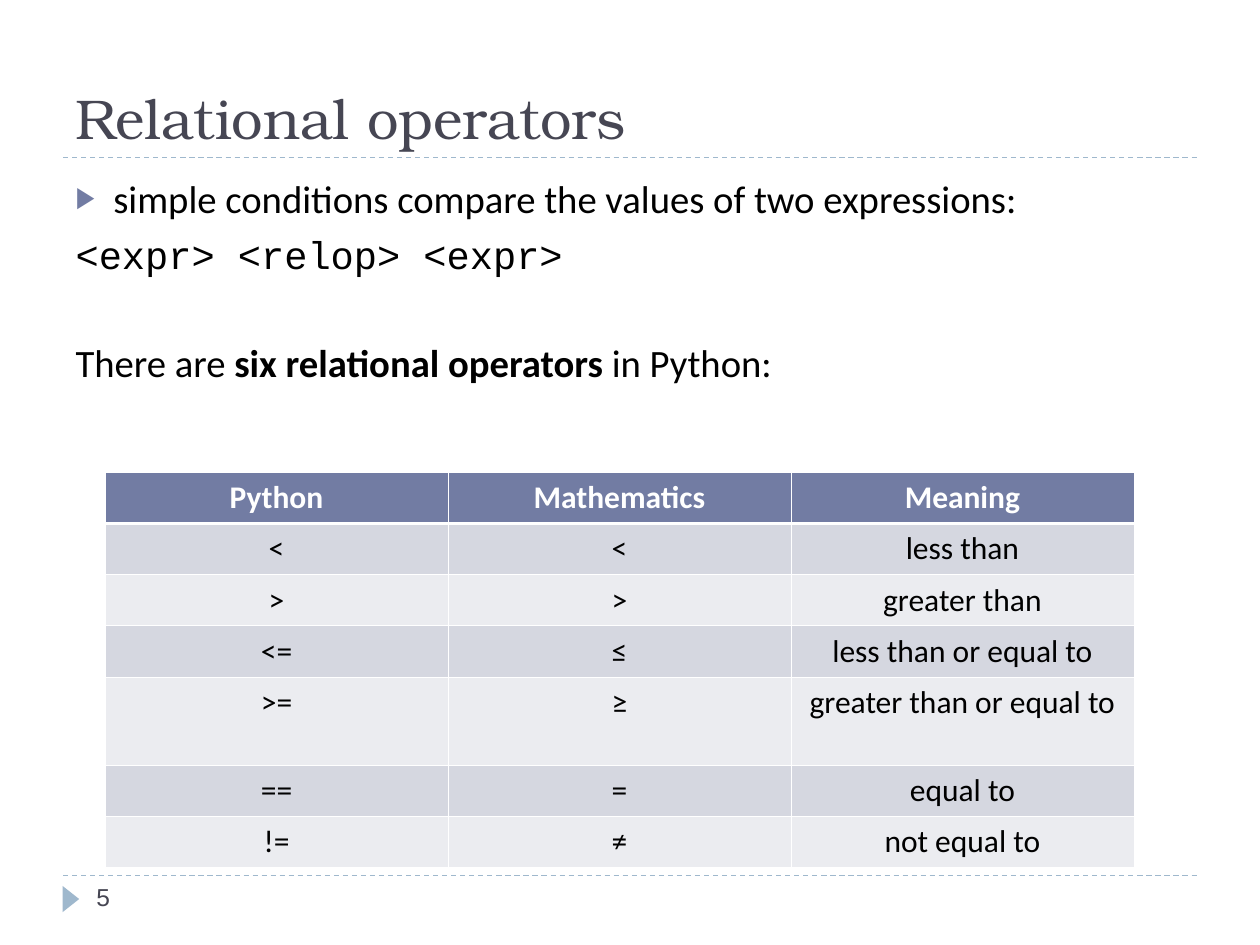
from lxml.etree import SubElement
from pptx import Presentation
from pptx.dml.color import RGBColor
from pptx.enum.dml import MSO_LINE_DASH_STYLE as Dash
from pptx.enum.shapes import MSO_CONNECTOR as Connector, MSO_SHAPE as Shape
from pptx.enum.text import MSO_ANCHOR as Anchor, MSO_AUTO_SIZE as AutoSize, PP_ALIGN as Align
from pptx.oxml.ns import qn
from pptx.util import Pt

WHITE = RGBColor(0xFF, 0xFF, 0xFF)
BLACK = RGBColor(0, 0, 0)
SLATE = RGBColor(0x46, 0x46, 0x53)
INDIGO = RGBColor(0x72, 0x7C, 0xA3)
SKY = RGBColor(0x9F, 0xB8, 0xCD)
BAND_DARK = RGBColor(0xD5, 0xD7, 0xE0)
BAND_LIGHT = RGBColor(0xEB, 0xEC, 0xF0)


def set_font(paragraph, name, size, color, bold=False):
    font = paragraph.font
    font.name, font.size, font.bold = name, Pt(size), bold
    font.color.rgb = color


def add_border(cell, side, width):
    """Draw one white cell edge; side is L, R, T or B. Call before the fill is set."""
    edge = SubElement(cell._tc.get_or_add_tcPr(), qn(f"a:ln{side}"), w=str(Pt(width)))
    fill = SubElement(edge, qn("a:solidFill"))
    SubElement(fill, qn("a:srgbClr"), val=str(WHITE))


prs = Presentation()
prs.slide_width, prs.slide_height = Pt(720), Pt(540)
slide = prs.slides.add_slide(prs.slide_layouts[1])
shapes = slide.shapes

# Dashed rules under the title and above the page number
for y in (500.4, 90):
    rule = shapes.add_connector(Connector.STRAIGHT, Pt(36), Pt(y), Pt(684), Pt(y))
    rule.line.color.rgb = SKY
    rule.line.width = Pt(0.75)
    rule.line.dash_style = Dash.DASH
    SubElement(rule._element.spPr, qn("a:effectLst"))

page_marker = shapes.add_shape(Shape.ISOSCELES_TRIANGLE, Pt(33), Pt(509), Pt(15), Pt(9.5))
page_marker.rotation = 90
page_marker.shadow.inherit = False
page_marker.fill.solid()
page_marker.fill.fore_color.rgb = SKY
page_marker.line.fill.background()

# Title
title = shapes.title
title.left, title.top, title.width, title.height = Pt(36), Pt(12), Pt(648), Pt(78)
title.text_frame.auto_size = AutoSize.NONE
title.text_frame.vertical_anchor = Anchor.BOTTOM
heading = title.text_frame.paragraphs[0]
heading.text = "Relational operators"
heading.alignment = Align.LEFT
set_font(heading, "TeX Gyre Bonum", 32, SLATE)

# Explanation: runs are (text, bold)
body = slide.placeholders[1]
body.left, body.top, body.width, body.height = Pt(36), Pt(96), Pt(648), Pt(162)
body.text_frame.auto_size = AutoSize.NONE
explanation = [
    ("Calibri", 0, "▶", [("simple conditions compare the values of two expressions:", False)]),
    ("Courier New", 6, None, [("<expr> <relop> <expr>", False)]),
    ("Calibri", 35, None, [("There are ", False), ("six relational operators ", True),
                           ("in Python:", False)]),
]
for i, (font_name, space_before, bullet, runs) in enumerate(explanation):
    line = body.text_frame.paragraphs[0] if i == 0 else body.text_frame.add_paragraph()
    line.space_before = Pt(space_before)
    properties = line._p.get_or_add_pPr()
    properties.set("marL", str(Pt(21.6)))
    properties.set("indent", str(Pt(-21.6)))
    if bullet:
        bullet_color = SubElement(properties, qn("a:buClr"))
        SubElement(bullet_color, qn("a:srgbClr"), val=str(INDIGO))
        SubElement(properties, qn("a:buSzPct"), val="76000")
        SubElement(properties, qn("a:buChar"), char=bullet)
    else:
        SubElement(properties, qn("a:buNone"))
    set_font(line, font_name, 22.1, BLACK)
    for text, bold in runs:
        run = line.add_run()
        run.text = text
        if bold:
            run.font.bold = True

# Page number
page_box = shapes.add_textbox(Pt(48), Pt(500.4), Pt(156), Pt(28.8))
page_box.text_frame.word_wrap = True
page_number = page_box.text_frame.paragraphs[0]
page_number.text = "5"
set_font(page_number, "Arial", 14, SLATE)

# Operator table
operators = [
    ("Python", "Mathematics", "Meaning"),
    ("<", "<", "less than"),
    (">", ">", "greater than"),
    ("<=", "≤", "less than or equal to"),
    (">=", "≥", "greater than or equal to"),
    ("==", "=", "equal to"),
    ("!=", "≠", "not equal to"),
]
row_heights = [29.2] * 4 + [50.4] + [29.2] * 2
table = shapes.add_table(len(operators), 3, Pt(60), Pt(270), Pt(588), Pt(sum(row_heights))).table
for column in table.columns:
    column.width = Pt(196)
for r, (height, entries) in enumerate(zip(row_heights, operators)):
    table.rows[r].height = Pt(height)
    is_header = r == 0
    for c, entry in enumerate(entries):
        cell = table.cell(r, c)
        for side in "LRTB":
            under_header = (r, side) in ((0, "B"), (1, "T"))
            add_border(cell, side, 1.47 if under_header else 0.45)
        cell.fill.solid()
        cell.fill.fore_color.rgb = INDIGO if is_header else (BAND_LIGHT, BAND_DARK)[r % 2]
        label = cell.text_frame.paragraphs[0]
        label.text = entry
        label.alignment = Align.CENTER
        set_font(label, "Calibri", 18, WHITE if is_header else BLACK, is_header)

prs.save("out.pptx")
